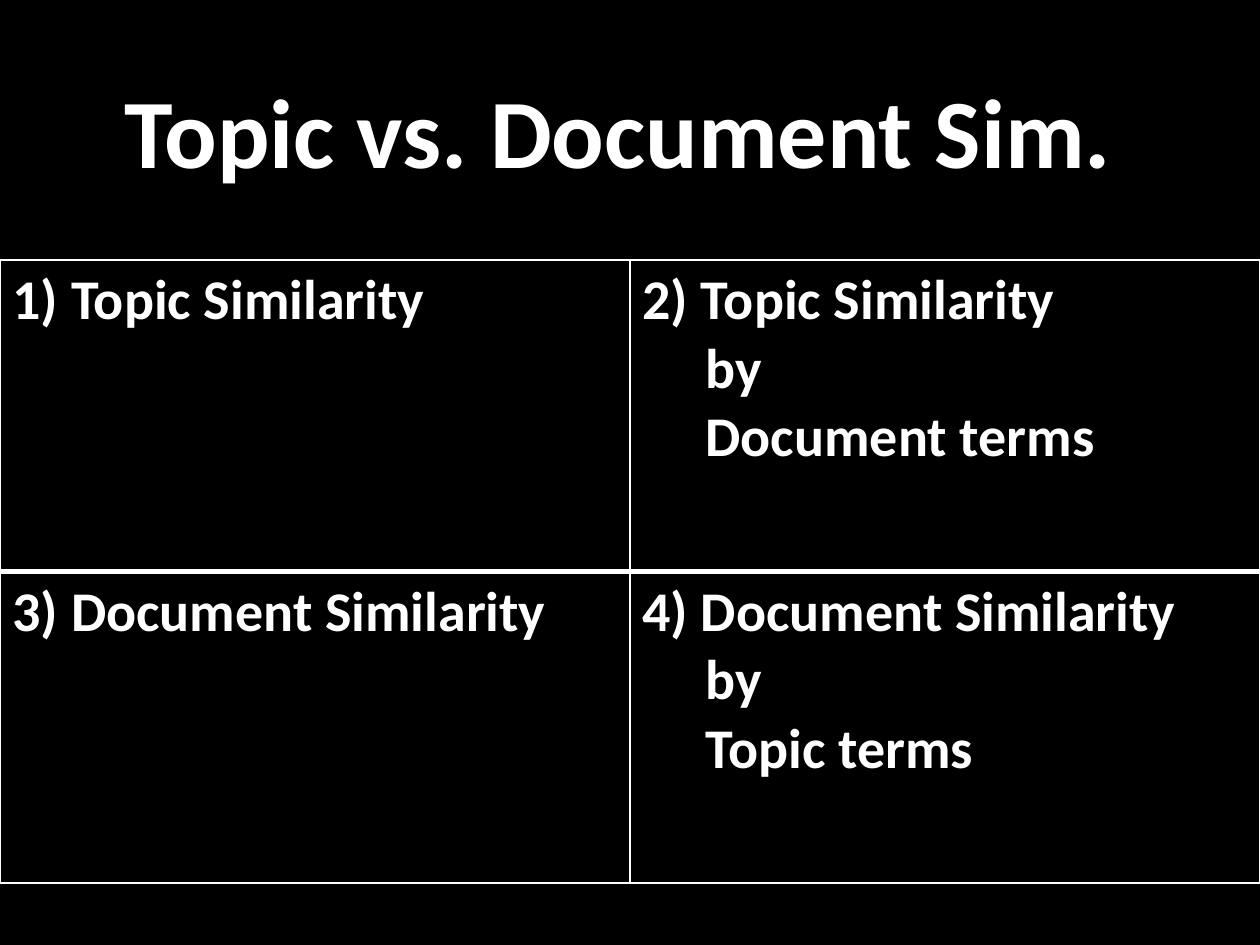
from lxml import etree
from pptx import Presentation
from pptx.dml.color import RGBColor
from pptx.enum.text import MSO_ANCHOR, PP_ALIGN
from pptx.oxml.ns import qn
from pptx.util import Pt

MIDDLE = MSO_ANCHOR.MIDDLE
CENTER = PP_ALIGN.CENTER
SCALE = 914400 // 126
WHITE = "FFFFFF"
BLACK = "000000"
INDENT = 63
CELLS = [
    [["1) Topic Similarity"],
     ["2) Topic Similarity", "by", "Document terms"]],
    [["3) Document Similarity"],
     ["4) Document Similarity", "by", "Topic terms"]],
]


def px(size):
    return round(size * SCALE)


def color(code):
    return RGBColor.from_string(code)


def style(para, size):
    font = para.font
    font.name = "Calibri"
    font.size = Pt(size)
    font.bold = True
    font.color.rgb = color(WHITE)


def border(cell, side, width):
    props = cell._tc.get_or_add_tcPr()
    line = etree.SubElement(props, qn("a:ln" + side), w=str(Pt(width)))
    fill = etree.SubElement(line, qn("a:solidFill"))
    etree.SubElement(fill, qn("a:srgbClr"), val=WHITE)


def title(slide, box, text):
    frame = slide.shapes.add_textbox(*map(px, box)).text_frame
    frame.word_wrap = True
    frame.vertical_anchor = MIDDLE
    para = frame.paragraphs[0]
    para.text = text
    para.alignment = CENTER
    style(para, 56)


def write(cell, lines):
    frame = cell.text_frame
    frame.text = "\n".join(lines)
    for index, para in enumerate(frame.paragraphs):
        style(para, 32)
        if index:
            props = para._p.get_or_add_pPr()
            props.set("marL", str(px(INDENT)))
            props.set("indent", "0")


def grid(slide, box, rows):
    frame = slide.shapes.add_table(len(rows), len(rows[0]), *map(px, box))
    table = frame.table
    table.first_row = False
    table.horz_banding = False
    for index, row in enumerate(rows):
        for col, lines in enumerate(row):
            cell = table.cell(index, col)
            write(cell, lines)
            for side in "LRTB":
                border(cell, side, 3 if side == "B" and index == 0 else 1)
            cell.fill.background()


def build():
    deck = Presentation()
    deck.slide_width = px(1260)
    deck.slide_height = px(945)
    slide = deck.slides.add_slide(deck.slide_layouts[6])
    back = slide.background.fill
    back.solid()
    back.fore_color.rgb = color(BLACK)
    title(slide, (107, 15, 1045, 228), "Topic vs. Document Sim. ")
    grid(slide, (0, 260, 1260, 623), CELLS)
    deck.save("out.pptx")


build()
